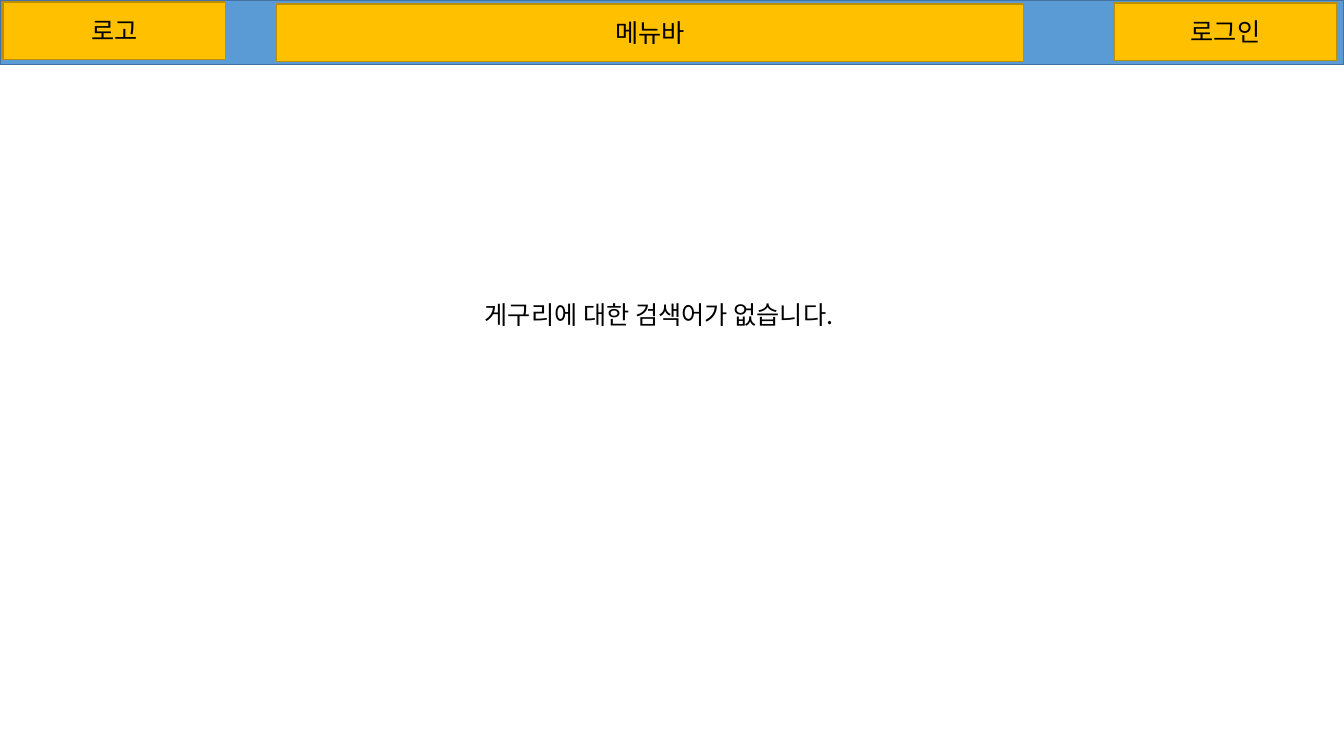
"""Builds the empty search result screen with its header bar."""
from dataclasses import dataclass
from typing import Optional

from lxml import etree
from pptx import Presentation, util as u
from pptx.dml.color import RGBColor
from pptx.enum import shapes, text
from pptx.oxml.ns import qn
from pptx.shapes.autoshape import Shape
from pptx.slide import Slide

PX = 9144


@dataclass(frozen=True)
class Theme:
    bar_fill: str = "5B9BD5"
    bar_line: str = "43739E"
    button_fill: str = "FFC000"
    button_line: str = "BD8E00"
    ink: str = "000000"
    font: str = "Noto Sans CJK KR"
    body_size: int = 18
    line_width: int = 1


@dataclass(frozen=True)
class Block:
    left: int
    top: int
    width: int
    height: int
    fill: str
    line: str
    label: Optional[str] = None


THEME = Theme()
BUTTON = {"height": 57, "fill": THEME.button_fill, "line": THEME.button_line}
HEADER = (
    Block(0, 0, 1333, 64, THEME.bar_fill, THEME.bar_line),
    Block(1105, 3, 221, label="로그인", **BUTTON),
    Block(274, 4, 741, label="메뉴바", **BUTTON),
    Block(3, 2, 221, label="로고", **BUTTON),
)


def px(length: int) -> u.Emu:
    return u.Emu(length * PX)


def write(holder: Shape, words: str, *, size: int = THEME.body_size,
          color: str = THEME.ink,
          align: text.PP_ALIGN = text.PP_ALIGN.LEFT,
          anchor: text.MSO_ANCHOR = text.MSO_ANCHOR.TOP) -> None:
    frame = holder.text_frame
    frame.word_wrap = True
    frame.vertical_anchor = anchor
    paragraph = frame.paragraphs[0]
    paragraph.alignment = align
    run = paragraph.add_run()
    run.text = words
    run.font.size = u.Pt(size)
    run.font.color.rgb = RGBColor.from_string(color)
    run.font.name = THEME.font
    properties = run._r.get_or_add_rPr()
    etree.SubElement(properties, qn("a:ea"), typeface=THEME.font)


def draw_block(slide: Slide, block: Block) -> None:
    rect = slide.shapes.add_shape(
        shapes.MSO_SHAPE.RECTANGLE, px(block.left), px(block.top),
        px(block.width), px(block.height))
    rect.shadow.inherit = False
    rect.fill.solid()
    rect.fill.fore_color.rgb = RGBColor.from_string(block.fill)
    rect.line.color.rgb = RGBColor.from_string(block.line)
    rect.line.width = u.Pt(THEME.line_width)
    if block.label:
        write(rect, block.label, align=text.PP_ALIGN.CENTER,
              anchor=text.MSO_ANCHOR.MIDDLE)


def main() -> None:
    deck = Presentation()
    deck.slide_width, deck.slide_height = px(1333), px(750)
    slide = deck.slides.add_slide(deck.slide_layouts[6])
    for block in HEADER:
        draw_block(slide, block)
    message = slide.shapes.add_textbox(px(471), px(292), px(686), px(40))
    write(message, "게구리에 대한 검색어가 없습니다.")
    message.text_frame.auto_size = text.MSO_AUTO_SIZE.SHAPE_TO_FIT_TEXT
    deck.save("out.pptx")


if __name__ == "__main__":
    main()
